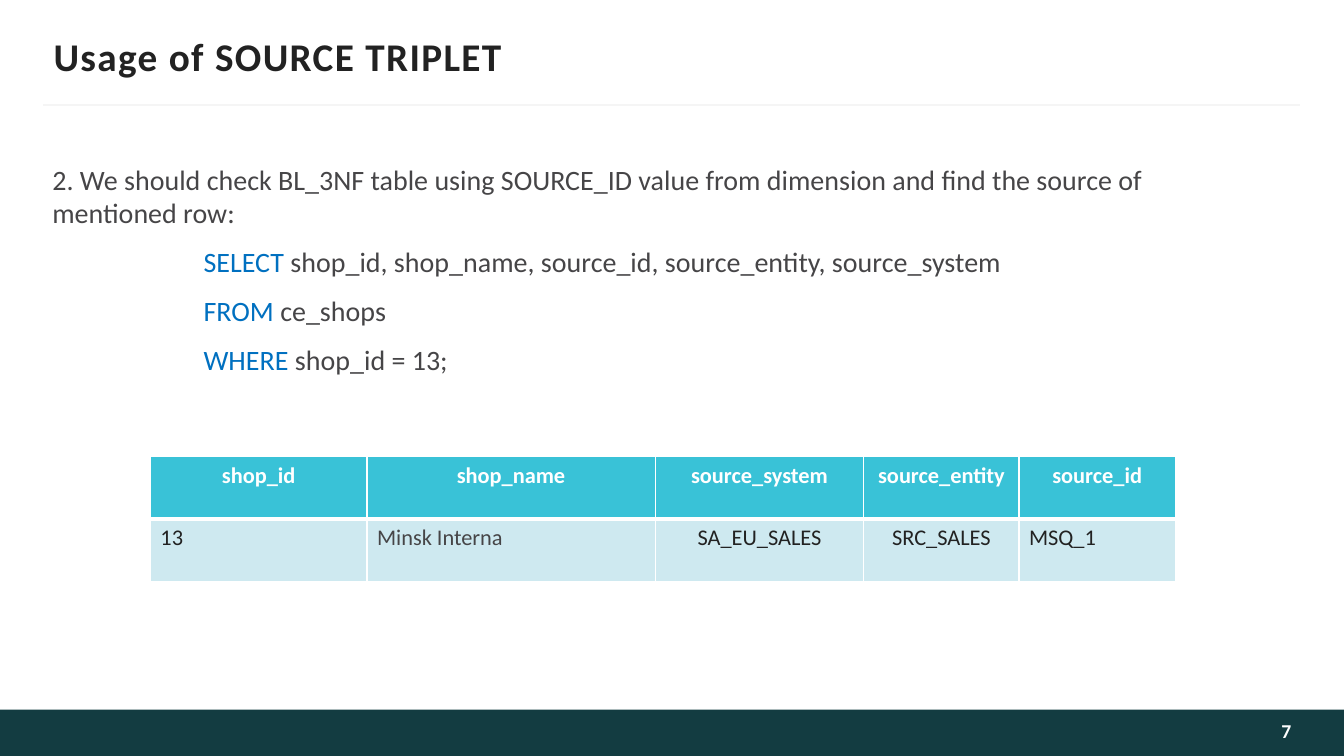
from dataclasses import dataclass

from lxml import etree
from pptx import Presentation
from pptx import util as u
from pptx.dml.color import RGBColor
from pptx.enum import shapes, text
from pptx.oxml import ns


@dataclass(frozen=True)
class Theme:
    font: str = "Calibri"
    ink: str = "222222"
    body: str = "464547"
    keyword: str = "0070C0"
    white: str = "FFFFFF"
    page: str = "FEFEFE"
    rule: str = "F5F5F5"
    footer: str = "133C41"
    header_fill: str = "39C2D7"
    row_fill: str = "CEE9F0"
    title_size: int = 28
    body_size: int = 20
    table_size: int = 16
    page_size: int = 14


THEME = Theme()
LEFT, CENTER, RIGHT = text.PP_ALIGN.LEFT, text.PP_ALIGN.CENTER, text.PP_ALIGN.RIGHT

QUERY = [
    ("SELECT ", "shop_id, shop_name, source_id, source_entity, source_system"),
    ("FROM ", "ce_shops"),
    ("WHERE ", "shop_id = 13;"),
]
# heading, value, column width in cm, value alignment, value colour
COLUMNS = [
    ("shop_id", "13", 5.46, LEFT, THEME.ink),
    ("shop_name", "Minsk Interna", 7.26, LEFT, THEME.body),
    ("source_system", "SA_EU_SALES", 5.26, CENTER, THEME.ink),
    ("source_entity", "SRC_SALES", 3.91, CENTER, THEME.ink),
    ("source_id", "MSQ_1", 3.94, LEFT, THEME.ink),
]


def add_run(paragraph, wording, size, color, bold=False):
    run = paragraph.add_run()
    run.text = wording
    run.font.name = THEME.font
    run.font.size = u.Pt(size)
    run.font.bold = bold
    run.font.color.rgb = RGBColor.from_string(color)
    return run


def add_text_frame(slide, left, top, width, height, insets=(0, 0, 0, 0),
                   anchor=text.MSO_ANCHOR.TOP):
    """Add a text box, with lengths in cm, and return its text frame."""
    frame = slide.shapes.add_textbox(
        u.Cm(left), u.Cm(top), u.Cm(width), u.Cm(height)).text_frame
    frame.word_wrap = True
    frame.vertical_anchor = anchor
    (frame.margin_left, frame.margin_top,
     frame.margin_right, frame.margin_bottom) = map(u.Cm, insets)
    return frame


def add_title(slide, wording):
    frame = add_text_frame(slide, 1.35, 0.84, 31.22, 1.12, (0, 0.13, 0, 0.13),
                           text.MSO_ANCHOR.MIDDLE)
    run = add_run(frame.paragraphs[0], wording, THEME.title_size, THEME.ink, True)
    run.font.language_id = None
    run._r.get_or_add_rPr().set("spc", "100")


def add_title_rule(slide):
    rule = slide.shapes.add_connector(
        shapes.MSO_CONNECTOR.STRAIGHT, u.Cm(1.09), u.Cm(2.64), u.Cm(32.77), u.Cm(2.64))
    rule.line.color.rgb = RGBColor.from_string(THEME.rule)
    rule.line.width = u.Pt(1.5)
    etree.SubElement(rule._element.spPr, ns.qn("a:effectLst"))


def add_footer(slide, page_number):
    band = slide.shapes.add_shape(
        shapes.MSO_SHAPE.RECTANGLE, 0, u.Cm(17.88), u.Cm(33.87), u.Cm(1.17))
    band.shadow.inherit = False
    band.fill.solid()
    band.fill.fore_color.rgb = RGBColor.from_string(THEME.footer)
    band.line.fill.background()
    frame = add_text_frame(slide, 27.46, 17.88, 5.08, 1.17, (0.25, 0.13, 0, 0.23),
                           text.MSO_ANCHOR.MIDDLE)
    number = frame.paragraphs[0]
    number.alignment = RIGHT
    add_run(number, page_number, THEME.page_size, THEME.page, True)


def add_step(slide, instruction, query):
    """Add the instruction with the indented query lines below it."""
    frame = add_text_frame(slide, 1.32, 4.09, 30.73, 13.79)
    lead = frame.paragraphs[0]
    lead.space_before, lead.space_after = u.Pt(2.6), u.Pt(6)
    add_run(lead, instruction, THEME.body_size, THEME.body)
    for keyword, rest in query:
        line = frame.add_paragraph()
        line.level = 1
        line.space_before, line.space_after = u.Pt(5), u.Pt(6)
        properties = line._p.get_or_add_pPr()
        properties.set("marL", str(u.Cm(3.81)))
        properties.set("indent", "0")
        add_run(line, keyword, THEME.body_size, THEME.keyword)
        add_run(line, rest, THEME.body_size, THEME.body)


def set_borders(cell, **widths):
    """Draw white cell borders; widths are points for L, R, T and B."""
    properties = cell._tc.get_or_add_tcPr()
    for place, side in enumerate("LRTB"):
        border = etree.Element(ns.qn(f"a:ln{side}"), w=str(u.Pt(widths.get(side, 1))))
        fill = etree.SubElement(border, ns.qn("a:solidFill"))
        etree.SubElement(fill, ns.qn("a:srgbClr"), val=THEME.white)
        properties.insert(place, border)


def fill_cell(cell, wording, fill, color, alignment, bold=False):
    cell.fill.solid()
    cell.fill.fore_color.rgb = RGBColor.from_string(fill)
    paragraph = cell.text_frame.paragraphs[0]
    paragraph.alignment = alignment
    add_run(paragraph, wording, THEME.table_size, color, bold)


def add_shop_table(slide, columns):
    row_height = u.Cm(1.57)
    table = slide.shapes.add_table(
        2, len(columns), u.Cm(3.79), u.Cm(11.51),
        u.Cm(sum(column[2] for column in columns)), row_height * 2).table
    for row in table.rows:
        row.height = row_height
    for index, (heading, value, width, alignment, color) in enumerate(columns):
        table.columns[index].width = u.Cm(width)
        head, entry = table.cell(0, index), table.cell(1, index)
        fill_cell(head, heading, THEME.header_fill, THEME.white, CENTER, True)
        fill_cell(entry, value, THEME.row_fill, color, alignment)
        set_borders(head, B=3)
        set_borders(entry, T=3)


def main():
    deck = Presentation()
    deck.slide_width, deck.slide_height = u.Cm(33.87), u.Cm(19.05)
    slide = deck.slides.add_slide(deck.slide_layouts[6])
    add_title_rule(slide)
    add_title(slide, "Usage of SOURCE TRIPLET")
    add_step(slide, "2. We should check BL_3NF table using SOURCE_ID value from "
                    "dimension and find the source of mentioned row:", QUERY)
    add_footer(slide, "7")
    add_shop_table(slide, COLUMNS)
    deck.save("out.pptx")


if __name__ == "__main__":
    main()
